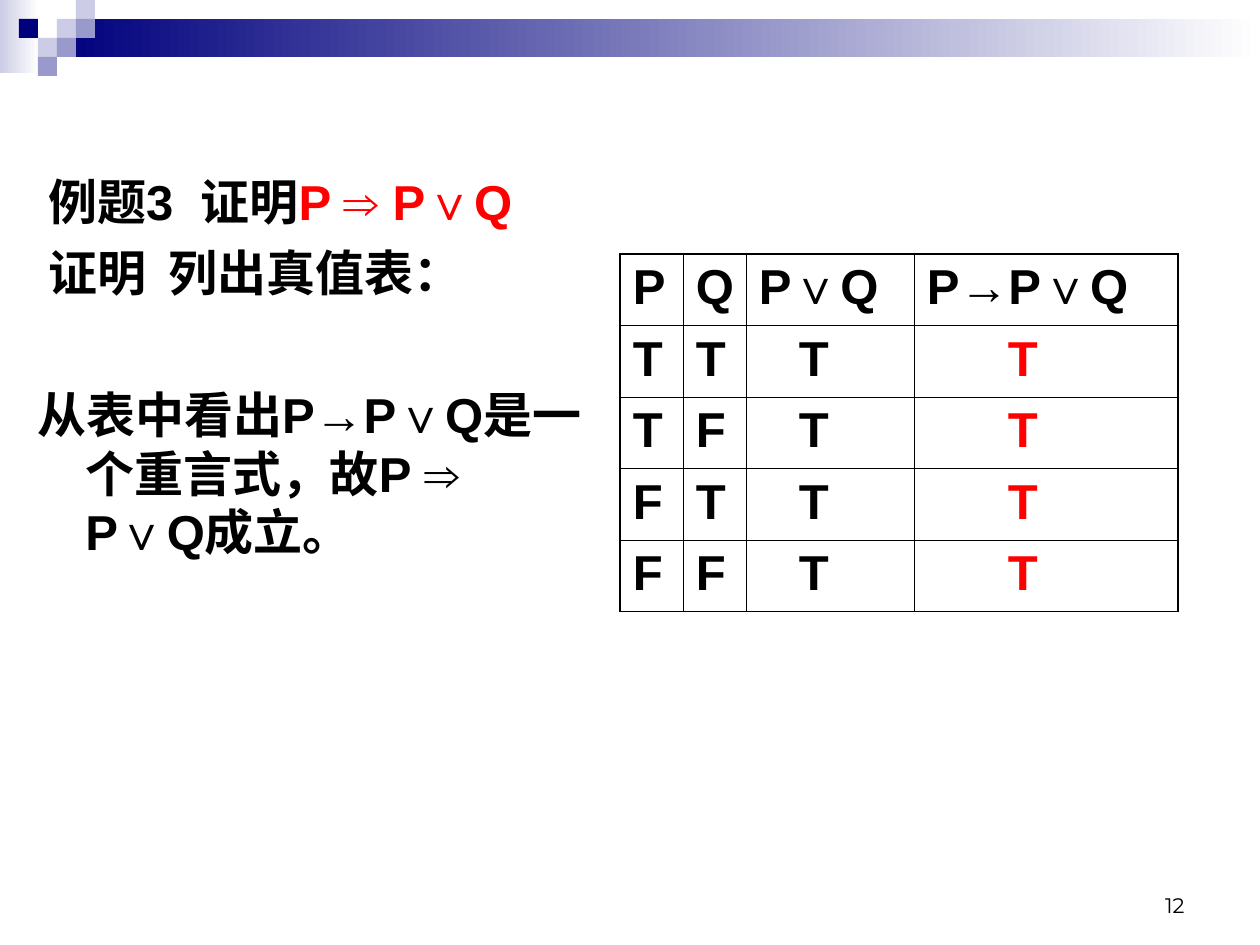
from dataclasses import dataclass

from lxml.etree import SubElement
from pptx import Presentation
from pptx.dml.color import RGBColor
from pptx.enum.shapes import MSO_SHAPE as Preset
from pptx.enum.text import MSO_ANCHOR as Anchor, PP_ALIGN as Align
from pptx.oxml.ns import qn
from pptx.util import Emu, Pt

SLIDE_WIDTH, SLIDE_HEIGHT = 1260, 945
EMU_PER_PX = 914400 / 126

BLACK = RGBColor(0x00, 0x00, 0x00)
WHITE = RGBColor(0xFF, 0xFF, 0xFF)
RED = RGBColor(0xFF, 0x00, 0x00)
NAVY = RGBColor(0x00, 0x00, 0x7D)
LAVENDER = RGBColor(0xCC, 0xCC, 0xE6)
PERIWINKLE = RGBColor(0x99, 0x99, 0xCC)

TILE = 19
CELL_MARGIN = 13
HANGING = 48
THIN, THICK = Pt(0.45), Pt(1.08)


@dataclass(frozen=True)
class Tile:
    column: int
    row: int
    color: RGBColor


@dataclass(frozen=True)
class Line:
    runs: tuple[tuple[str, RGBColor], ...]
    first_indent: int
    space_before: float


@dataclass(frozen=True)
class Column:
    heading: str
    values: str
    width: int
    color: RGBColor = BLACK
    value_indent: int = 0


TILES = [
    Tile(3, 1, LAVENDER), Tile(4, 0, LAVENDER), Tile(4, 1, PERIWINKLE),
    Tile(2, 2, LAVENDER), Tile(1, 1, NAVY), Tile(3, 2, PERIWINKLE),
    Tile(2, 3, PERIWINKLE),
]

LINES = [
    Line((("例题3  证明", BLACK), ("P ⇒ P∨Q", RED)), 11, 7),
    Line((("证明  列出真值表：", BLACK),), 11, 7),
    Line((("从表中看出P→P∨Q是一个重言式，故P ⇒ P∨Q成立。", BLACK),), 0, 47.5),
]

COLUMNS = [
    Column("P", "TTFF", 63),
    Column("Q", "TFTF", 63),
    Column("P∨Q", "TTTT", 168, value_indent=40),
    Column("P→P∨Q", "TTTT", 264, RED, 81),
]


def px(length: float) -> Emu:
    return Emu(round(length * EMU_PER_PX))


def add_rectangle(slide, left: int, top: int, width: int, height: int):
    shape = slide.shapes.add_shape(
        Preset.RECTANGLE, px(left), px(top), px(width), px(height))
    shape.shadow.inherit = False
    shape.line.fill.background()
    return shape


def fade_to_white(shape, color: RGBColor) -> None:
    shape.fill.gradient()
    shape.fill.gradient_angle = 0
    for stop, stop_color in zip(shape.fill.gradient_stops, (color, WHITE)):
        stop.color.rgb = stop_color


def add_text_frame(slide, left: int, top: int, width: int, height: int):
    box = slide.shapes.add_textbox(px(left), px(top), px(width), px(height))
    box.text_frame.word_wrap = True
    return box.text_frame


def style_font(font, name: str, size: int, bold: bool) -> None:
    font.name, font.size, font.bold = name, Pt(size), bold


def add_line(paragraph, line: Line) -> None:
    paragraph.space_before = Pt(line.space_before)
    properties = paragraph._p.get_or_add_pPr()
    properties.set("marL", str(px(HANGING)))
    properties.set("indent", str(px(line.first_indent - HANGING)))
    style_font(paragraph.font, "Arial", 28, True)
    for text, color in line.runs:
        run = paragraph.add_run()
        run.text = text
        run.font.color.rgb = color


def set_borders(cell, widths: dict[str, Emu]) -> None:
    properties = cell._tc.get_or_add_tcPr()
    for position, (side, width) in enumerate(widths.items()):
        border = properties.makeelement(qn(f"a:ln{side}"), {"w": str(width)})
        fill = SubElement(border, qn("a:solidFill"))
        SubElement(fill, qn("a:srgbClr"), val=str(BLACK))
        properties.insert(position, border)


def fill_cell(cell, text: str, color: RGBColor, indent: int) -> None:
    cell.fill.background()
    cell.margin_left = px(CELL_MARGIN + indent)
    cell.text = text
    paragraph = cell.text_frame.paragraphs[0]
    paragraph.space_before = Pt(7)
    style_font(paragraph.font, "Arial", 28, True)
    paragraph.font.color.rgb = color


def add_truth_table(slide, left: int, top: int, height: int) -> None:
    row_count = 1 + len(COLUMNS[0].values)
    width = sum(column.width for column in COLUMNS)
    table = slide.shapes.add_table(
        row_count, len(COLUMNS), px(left), px(top), px(width), px(height)).table
    table.first_row = table.horz_banding = False
    last_column, last_row = len(COLUMNS) - 1, row_count - 1
    for x, column in enumerate(COLUMNS):
        table.columns[x].width = px(column.width)
        for y, text in enumerate((column.heading, *column.values)):
            cell = table.cell(y, x)
            if y == 0:
                fill_cell(cell, text, BLACK, 0)
            else:
                fill_cell(cell, text, column.color, column.value_indent)
            set_borders(cell, {
                "L": THICK if x == 0 else THIN,
                "R": THICK if x == last_column else THIN,
                "T": THICK if y == 0 else THIN,
                "B": THICK if y == last_row else THIN,
            })


def main() -> None:
    presentation = Presentation()
    presentation.slide_width = px(SLIDE_WIDTH)
    presentation.slide_height = px(SLIDE_HEIGHT)
    slide = presentation.slides.add_slide(presentation.slide_layouts[6])

    # Header band and tiles
    fade_to_white(add_rectangle(slide, 0, 0, 39, 73), LAVENDER)
    fade_to_white(
        add_rectangle(slide, 3 * TILE, TILE, SLIDE_WIDTH - 3 * TILE, 2 * TILE), NAVY)
    for tile in TILES:
        shape = add_rectangle(slide, tile.column * TILE, tile.row * TILE, TILE, TILE)
        shape.fill.solid()
        shape.fill.fore_color.rgb = tile.color

    # Slide number
    number_frame = add_text_frame(slide, 903, 861, 294, 63)
    number_frame.vertical_anchor = Anchor.BOTTOM
    number = number_frame.paragraphs[0]
    number.text = "12"
    number.alignment = Align.RIGHT
    style_font(number.font, "Montserrat", 12, False)
    number.font.color.rgb = BLACK

    # Example and proof
    body = add_text_frame(slide, 25, 165, 578, 536)
    for index, line in enumerate(LINES):
        add_line(body.add_paragraph() if index else body.paragraphs[0], line)

    # Truth table
    add_truth_table(slide, 620, 254, 357)

    presentation.save("out.pptx")


if __name__ == "__main__":
    main()
